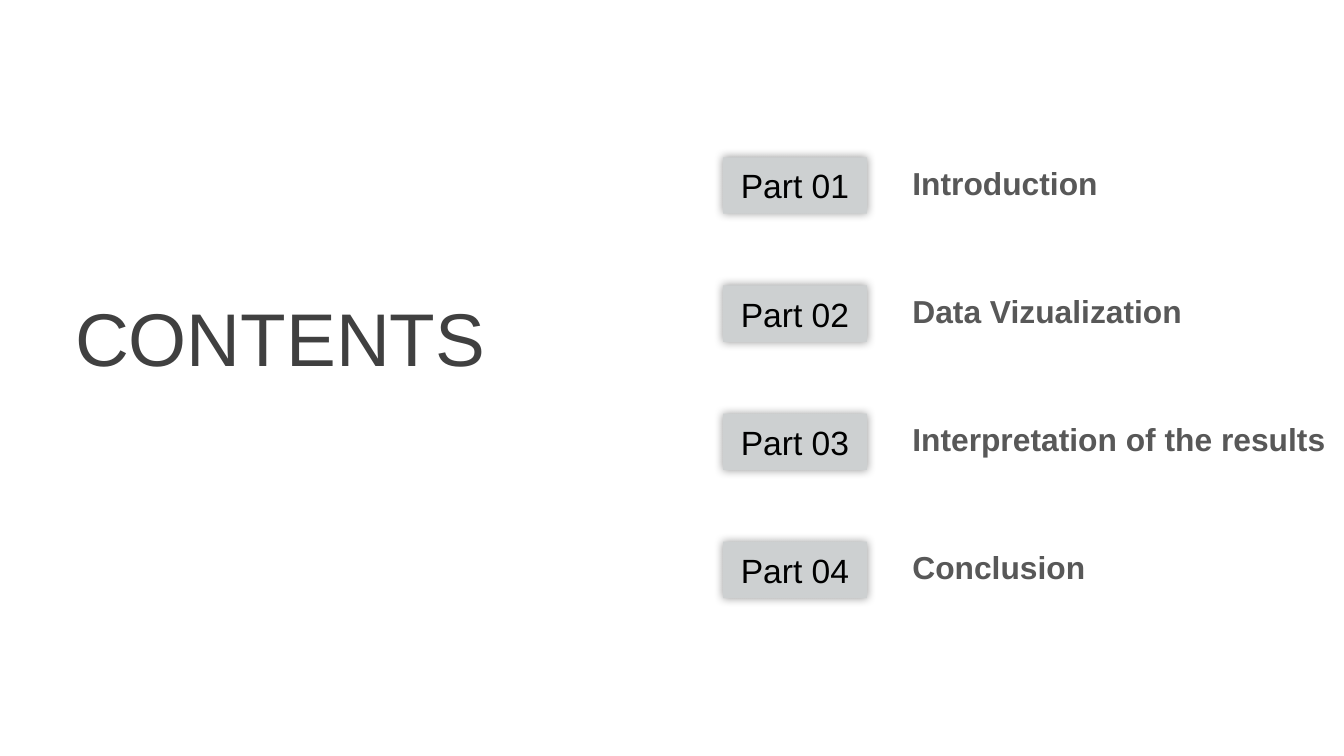
from pptx import Presentation
from pptx.dml.color import RGBColor
from pptx.enum.shapes import MSO_SHAPE as Shape
from pptx.enum.text import MSO_ANCHOR as Anchor, MSO_AUTO_SIZE as AutoSize, PP_ALIGN as Align
from pptx.oxml import parse_xml
from pptx.oxml.ns import nsdecls, qn
from pptx.util import Inches, Pt

COLORS = {"badge": "CDD0D1", "badge_text": "000000", "label": "585858", "title": "404040", "shadow": "000000"}
FONT = "Arial"
# Text, width and height of each label
PARTS = [
    ("Introduction", 1.59, 0.39),
    ("Data Vizualization", 2.23, 0.39),
    ("Interpretation of the results", 3.3, 0.67),
    ("Conclusion", 1.5, 0.39),
]
FIRST_TOP, LAST_TOP = 1.17, 4.03
ROW_STEP = (LAST_TOP - FIRST_TOP) / (len(PARTS) - 1)


def write_text(shape, text, *, size, color, bold=False, align=Align.LEFT,
               anchor=Anchor.TOP, wrap=True, auto_size=AutoSize.NONE):
    frame = shape.text_frame
    frame.word_wrap = wrap
    frame.auto_size = auto_size
    frame.vertical_anchor = anchor
    paragraph = frame.paragraphs[0]
    paragraph.alignment = align
    run = paragraph.add_run()
    run.text = text
    run.font.name = FONT
    run.font.size = Pt(size)
    run.font.bold = bold
    run.font.color.rgb = RGBColor.from_string(COLORS[color])


def add_glow_shadow(shape):
    """Give the shape a soft shadow that spreads evenly on all sides."""
    shape.shadow.inherit = False
    effects = shape._element.spPr.find(qn("a:effectLst"))
    effects.append(parse_xml(
        f'<a:outerShdw {nsdecls("a")} blurRad="{Pt(5)}" dist="0" dir="0" algn="ctr" rotWithShape="0">'
        f'<a:srgbClr val="{COLORS["shadow"]}"><a:alpha val="40000"/></a:srgbClr></a:outerShdw>'))


def add_badge(slide, number, top):
    badge = slide.shapes.add_shape(Shape.RECTANGLE, Inches(5.38), Inches(top), Inches(1.07), Inches(0.42))
    badge.fill.solid()
    badge.fill.fore_color.rgb = RGBColor.from_string(COLORS["badge"])
    badge.line.fill.background()
    add_glow_shadow(badge)
    write_text(badge, f"Part {number:02}", size=18, color="badge_text", align=Align.CENTER, anchor=Anchor.MIDDLE)


def add_label(slide, text, top, width, height):
    label = slide.shapes.add_textbox(Inches(6.69), Inches(top), Inches(width), Inches(height))
    write_text(label, text, size=17, color="label", bold=True, wrap=False, auto_size=AutoSize.SHAPE_TO_FIT_TEXT)


def add_title(slide):
    title = slide.shapes.add_textbox(Inches(0.42), Inches(2.12), Inches(3.33), Inches(1.45))
    write_text(title, "CONTENTS", size=40, color="title", align=Align.CENTER, auto_size=AutoSize.SHAPE_TO_FIT_TEXT)


def main():
    presentation = Presentation()
    presentation.slide_width = Inches(10)
    presentation.slide_height = Inches(10 * 9 / 16)
    slide = presentation.slides.add_slide(presentation.slide_layouts[6])
    for index, (text, width, height) in enumerate(PARTS):
        top = FIRST_TOP + index * ROW_STEP
        add_badge(slide, index + 1, top)
        add_label(slide, text, top, width, height)
    add_title(slide)
    presentation.save("out.pptx")


if __name__ == "__main__":
    main()
